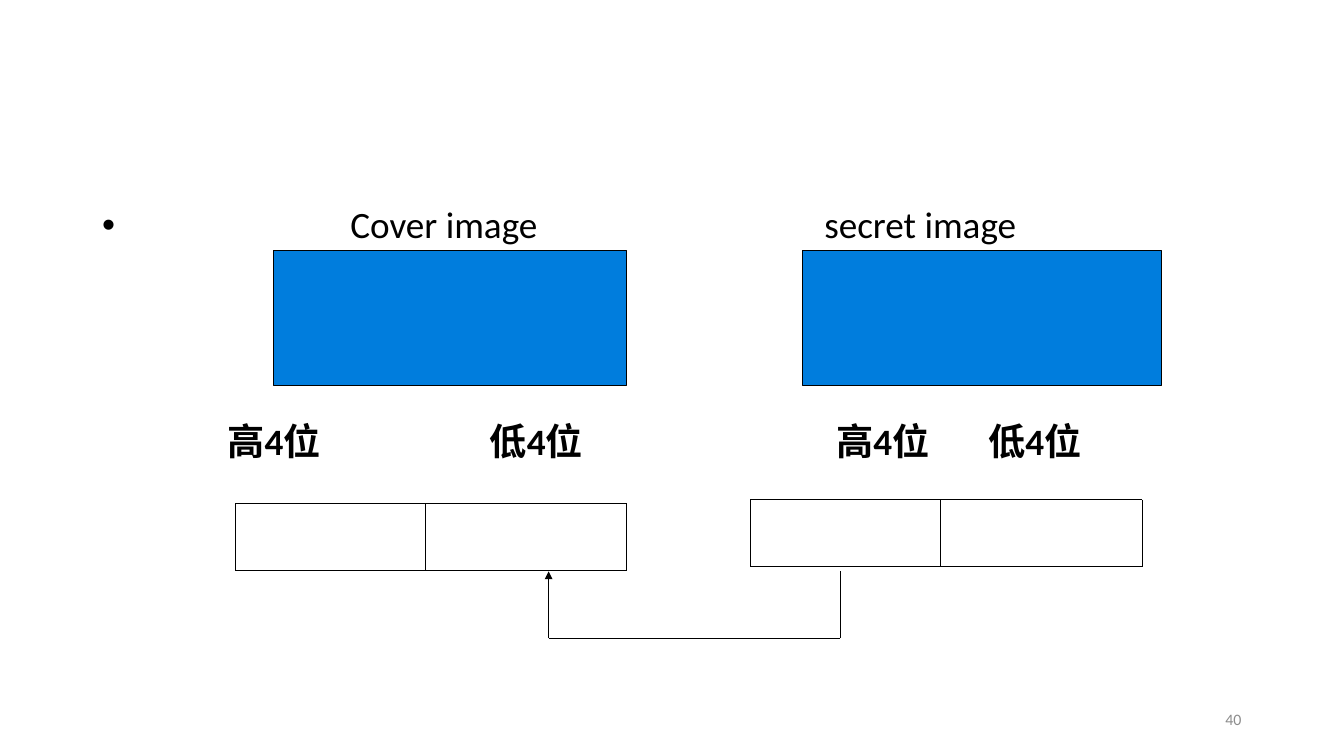
"""Build the slide showing how a secret image's high bits replace a cover image's low bits."""
from lxml import etree
from pptx import Presentation
from pptx.dml.color import RGBColor
from pptx.enum.shapes import MSO_CONNECTOR, MSO_SHAPE
from pptx.enum.text import MSO_ANCHOR, PP_ALIGN
from pptx.oxml.ns import qn
from pptx.util import Pt

RECTANGLE, STRAIGHT = MSO_SHAPE.RECTANGLE, MSO_CONNECTOR.STRAIGHT
LEFT, RIGHT = PP_ALIGN.LEFT, PP_ALIGN.RIGHT
TOP, MIDDLE = MSO_ANCHOR.TOP, MSO_ANCHOR.MIDDLE

COLORS = {"ink": "000000", "image": "007DDD", "number": "8C8C8C"}
FONT = "Calibri"
LINE_WIDTH = 0.75
LABEL_SIZE = 28

COVER_NAME = "Cover image"
SECRET_NAME = "secret image"
HIGH_BITS, LOW_BITS = "高4位", "低4位"
PAGE_NUMBER = "40"

NAME_TOP, BITS_TOP = 155.5, 318.7
BULLET_LEFT, COVER_INDENT = 77, 187
SECRET_LEFT = 621
BIT_LABELS = [(HIGH_BITS, 171.5), (LOW_BITS, 369), (HIGH_BITS, 630), (LOW_BITS, 744.5)]

IMAGES = [(205.9, 266.4), (604.8, 270)]
IMAGE_TOP, IMAGE_HEIGHT = 188.6, 101.5

BYTES = [(177.1, 379.4), (565.2, 376.4)]
BYTE_WIDTH, BYTE_HEIGHT, HIGH_WIDTH = 295.2, 50.7, 143.3

ARROW_PATH = [(632.9, 430.4), (632.9, 481), (413.3, 481), (413.3, 430.4)]


def rgb(name):
    return RGBColor.from_string(COLORS[name])


def add_label(slide, text, left, top, width=300, height=36, size=LABEL_SIZE,
              color="ink", bold=False, align=LEFT, anchor=TOP):
    frame = slide.shapes.add_textbox(Pt(left), Pt(top), Pt(width), Pt(height)).text_frame
    frame.word_wrap = True
    frame.vertical_anchor = anchor
    frame.margin_left = frame.margin_right = frame.margin_top = frame.margin_bottom = 0
    label = frame.paragraphs[0]
    label.text = text
    label.alignment = align
    label.line_spacing = 0.9
    label.font.name = FONT
    label.font.size = Pt(size)
    label.font.bold = bold
    label.font.color.rgb = rgb(color)
    return label


def add_bullet(label, indent):
    properties = label._p.get_or_add_pPr()
    properties.set("marL", str(Pt(indent)))
    properties.set("indent", str(-Pt(indent)))
    bullet_font = etree.Element(qn("a:buFont"), typeface="Arial")
    bullet = etree.Element(qn("a:buChar"), char="•")
    position = properties.index(properties.find(qn("a:lnSpc"))) + 1
    properties.insert(position, bullet_font)
    properties.insert(position + 1, bullet)


def add_line(slide, start, end, arrow=False):
    line = slide.shapes.add_connector(STRAIGHT, *(Pt(value) for value in start + end))
    line.line.color.rgb = rgb("ink")
    line.line.width = Pt(LINE_WIDTH)
    if arrow:
        etree.SubElement(line.line._get_or_add_ln(), qn("a:tailEnd"), type="triangle")
    etree.SubElement(line._element.spPr, qn("a:effectLst"))


def add_image_block(slide, left, width):
    block = slide.shapes.add_shape(RECTANGLE, Pt(left), Pt(IMAGE_TOP), Pt(width), Pt(IMAGE_HEIGHT))
    block.shadow.inherit = False
    block.fill.solid()
    block.fill.fore_color.rgb = rgb("image")
    block.line.color.rgb = rgb("ink")
    block.line.width = Pt(LINE_WIDTH)


def add_byte(slide, left, top):
    right, bottom = left + BYTE_WIDTH, top + BYTE_HEIGHT
    for x in (left, left + HIGH_WIDTH, right):
        add_line(slide, (x, top), (x, bottom))
    for y in (top, bottom):
        add_line(slide, (left, y), (right, y))


def main():
    deck = Presentation()
    deck.slide_width, deck.slide_height = Pt(1012.5), Pt(569.5)
    slide = deck.slides.add_slide(deck.slide_layouts[6])

    cover_label = add_label(slide, COVER_NAME, BULLET_LEFT, NAME_TOP, width=500)
    add_bullet(cover_label, COVER_INDENT)
    add_label(slide, SECRET_NAME, SECRET_LEFT, NAME_TOP)
    for text, left in BIT_LABELS:
        add_label(slide, text, left, BITS_TOP, width=110, bold=True)

    for left, width in IMAGES:
        add_image_block(slide, left, width)
    for left, top in BYTES:
        add_byte(slide, left, top)

    for start, end in zip(ARROW_PATH, ARROW_PATH[1:]):
        add_line(slide, start, end, arrow=end == ARROW_PATH[-1])

    add_label(slide, PAGE_NUMBER, 715, 527.8, width=220.3, height=30.2, size=12,
              color="number", align=RIGHT, anchor=MIDDLE)
    deck.save("out.pptx")


if __name__ == "__main__":
    main()
